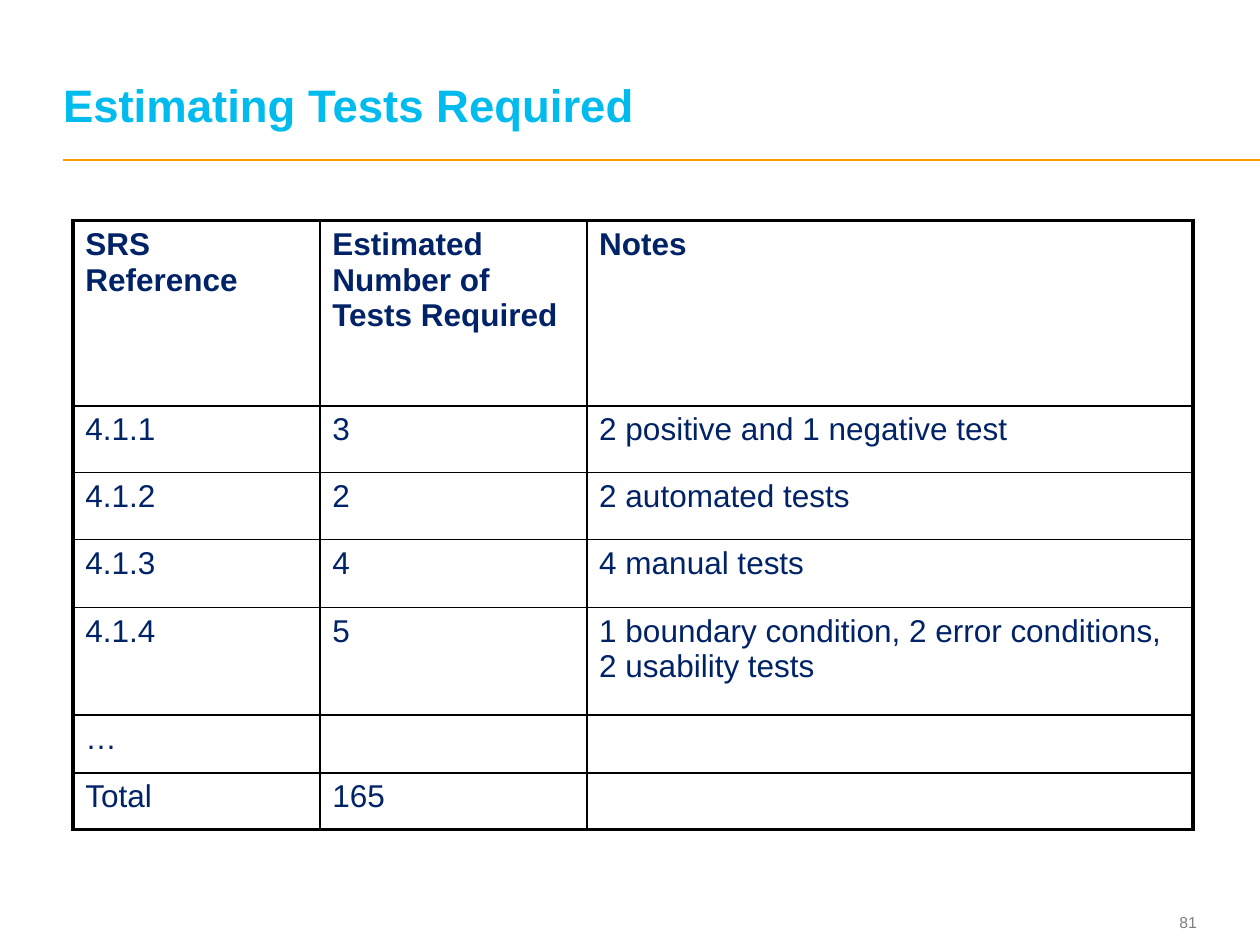
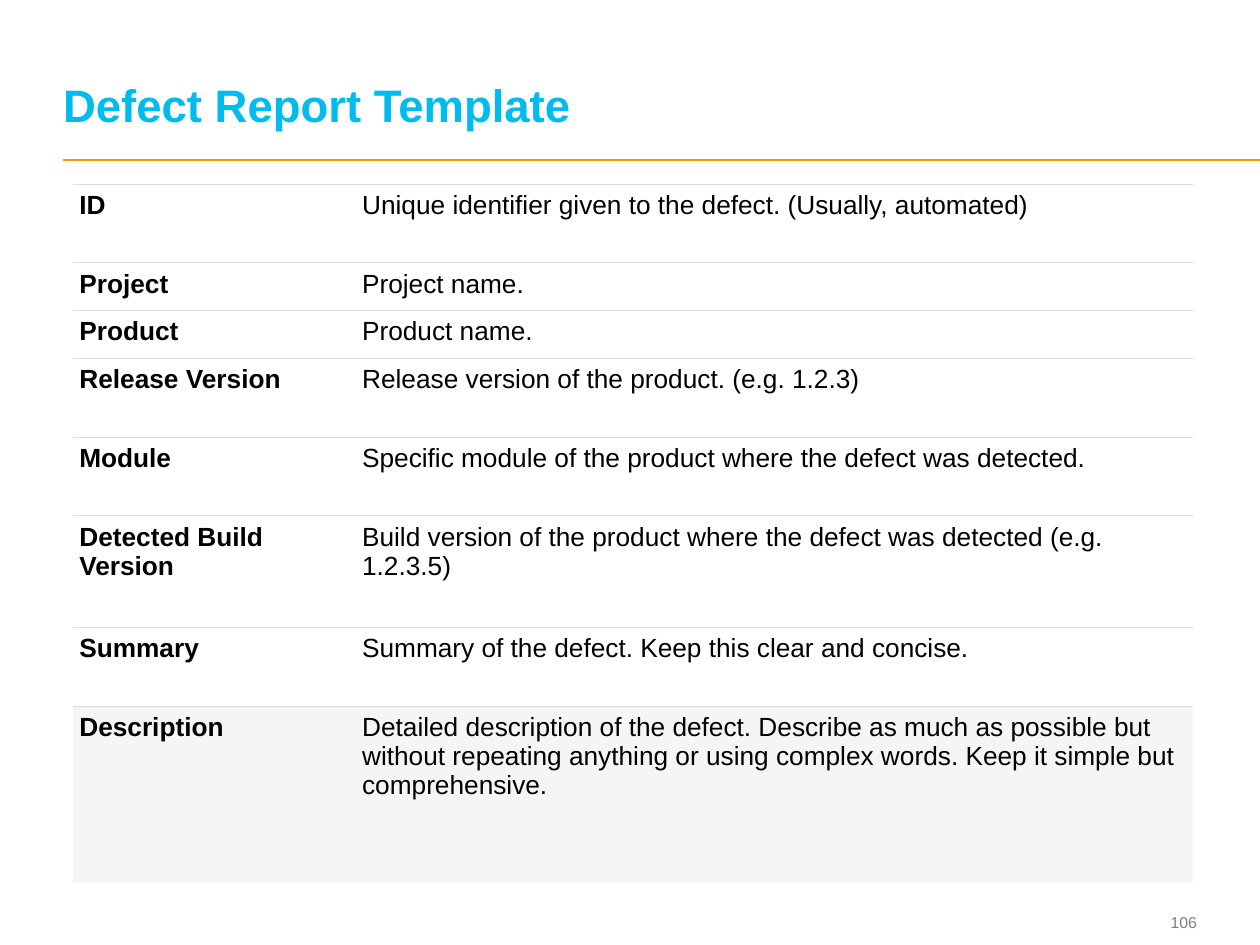
import pptx
import pptx.dml.color
import pptx.enum.shapes
import pptx.enum.text
import pptx.oxml.ns
import pptx.util
from lxml import etree
from pptx.util import Cm, Pt

FONT = "Arial"
COLORS = {
    "title": "00BBEE", "rule": "FF9900", "page": "7F7F7F",
    "navy": "002266", "black": "000000", "divider": "DDDDDD",
    "white": "FFFFFF", "shade": "F5F5F5",
}

tests_required = [
    ("SRS Reference", "Estimated Number of Tests Required", "Notes"),
    ("4.1.1", "3", "2 positive and 1 negative test"),
    ("4.1.2", "2", "2 automated tests"),
    ("4.1.3", "4", "4 manual tests"),
    ("4.1.4", "5", "1 boundary condition, 2 error conditions, 2 usability tests"),
    ("…", "", ""),
    ("Total", "165", ""),
]
defect_fields = [
    ("ID", "Unique identifier given to the defect. (Usually, automated)"),
    ("Project", "Project name."),
    ("Product", "Product name."),
    ("Release Version", "Release version of the product. (e.g. 1.2.3)"),
    ("Module", "Specific module of the product where the defect was detected."),
    ("Detected Build Version",
     "Build version of the product where the defect was detected (e.g. 1.2.3.5)"),
    ("Summary", "Summary of the defect. Keep this clear and concise."),
    ("Description",
     "Detailed description of the defect. Describe as much as possible but without "
     "repeating anything or using complex words. Keep it simple but comprehensive."),
]

pages = [
    {"title": "Estimating Tests Required", "number": "81", "rows": tests_required,
     "top": 4.45, "widths": [4.98, 5.38, 12.22],
     "heights": [3.73, 1.35, 1.35, 1.37, 2.16, 1.17, 1.14],
     "size": 18, "color": "navy", "bold": "first row", "side_margin": 0.25,
     "line": "black", "inner": 1, "outer": 2.25, "upright": True, "last_fill": "white"},
    {"title": "Defect Report Template", "number": "106", "rows": defect_fields,
     "top": 3.71, "widths": [5.7, 16.88],
     "heights": [1.59, 0.96, 0.96, 1.59, 1.59, 2.25, 1.59, 3.55],
     "size": 15, "color": "black", "bold": "first column", "side_margin": 0.13,
     "line": "divider", "inner": 0.6, "outer": 0.6, "upright": False, "last_fill": "shade"},
]


def write(frame, text, size, color, bold=False, align=None):
    frame.word_wrap = True
    paragraph = frame.paragraphs[0]
    paragraph.text = text
    paragraph.alignment = align or pptx.enum.text.PP_ALIGN.LEFT
    font_format = {"name": FONT, "size": Pt(size), "bold": bold}
    for name, value in font_format.items():
        setattr(paragraph.font, name, value)
    paragraph.font.color.rgb = pptx.dml.color.RGBColor.from_string(COLORS[color])
    return paragraph


def add_border(cell, side, color, width):
    """Draw one cell edge (L, R, T or B); a width of 0 hides it."""
    qn = pptx.oxml.ns.qn
    edge = etree.SubElement(cell._tc.get_or_add_tcPr(), qn(f"a:ln{side}"), w=str(Pt(width)))
    if width:
        fill = etree.SubElement(edge, qn("a:solidFill"))
        etree.SubElement(fill, qn("a:srgbClr"), val=COLORS[color])
    else:
        etree.SubElement(edge, qn("a:noFill"))


deck = pptx.Presentation()
deck.slide_width, deck.slide_height = Cm(25.4), Cm(19.05)
no_margins = dict.fromkeys(["margin_left", "margin_top", "margin_right", "margin_bottom"], 0)

for page in pages:
    slide = deck.slides.add_slide(deck.slide_layouts[5])

    rule = slide.shapes.add_connector(
        pptx.enum.shapes.MSO_CONNECTOR.STRAIGHT, Cm(1.27), Cm(3.23), Cm(25.4), Cm(3.23))
    rule.line.color.rgb = pptx.dml.color.RGBColor.from_string(COLORS["rule"])
    rule.line.width = Pt(1)
    etree.SubElement(rule._element.spPr, pptx.oxml.ns.qn("a:effectLst"))

    page_number = slide.shapes.add_textbox(Cm(22.63), Cm(18.24), Cm(1.5), Cm(0.69))
    title = slide.shapes.title
    title_place = {"left": 1.27, "top": 0.48, "width": 22.78, "height": 2.18}
    for name, value in title_place.items():
        setattr(title, name, Cm(value))

    anchors = pptx.enum.text.MSO_ANCHOR
    for shape, anchor in ((page_number, anchors.MIDDLE), (title, anchors.BOTTOM)):
        frame_format = {**no_margins, "vertical_anchor": anchor,
                        "auto_size": pptx.enum.text.MSO_AUTO_SIZE.NONE}
        for name, value in frame_format.items():
            setattr(shape.text_frame, name, value)
    write(page_number.text_frame, page["number"], 9, "page",
          align=pptx.enum.text.PP_ALIGN.RIGHT)
    heading = write(title.text_frame, page["title"], 26, "title", bold=True)
    heading.line_spacing = Pt(26)

    rows, widths, heights = page["rows"], page["widths"], page["heights"]
    grid = slide.shapes.add_table(
        len(rows), len(widths), Cm(1.47), Cm(page["top"]),
        Cm(sum(widths)), Cm(sum(heights))).table
    grid.first_row = grid.horz_banding = False
    for column, width in zip(grid.columns, widths):
        column.width = Cm(width)
    for row, height in zip(grid.rows, heights):
        row.height = Cm(height)

    last_row, last_column = len(rows) - 1, len(widths) - 1
    for r, texts in enumerate(rows):
        for c, text in enumerate(texts):
            cell = grid.cell(r, c)
            cell.margin_left = cell.margin_right = Cm(page["side_margin"])
            cell.margin_top = cell.margin_bottom = Cm(0.13)
            bold = r == 0 if page["bold"] == "first row" else c == 0
            write(cell.text_frame, text, page["size"], page["color"], bold)

            at_edge = {"L": c == 0, "R": c == last_column, "T": r == 0, "B": r == last_row}
            for side, outer in at_edge.items():
                width = page["outer"] if outer else page["inner"]
                hidden = not page["upright"] and (side in "LR" or (side == "B" and outer))
                add_border(cell, side, page["line"], 0 if hidden else width)

            cell.fill.solid()
            fill = page["last_fill"] if r == last_row else "white"
            cell.fill.fore_color.rgb = pptx.dml.color.RGBColor.from_string(COLORS[fill])

deck.save("out.pptx")
